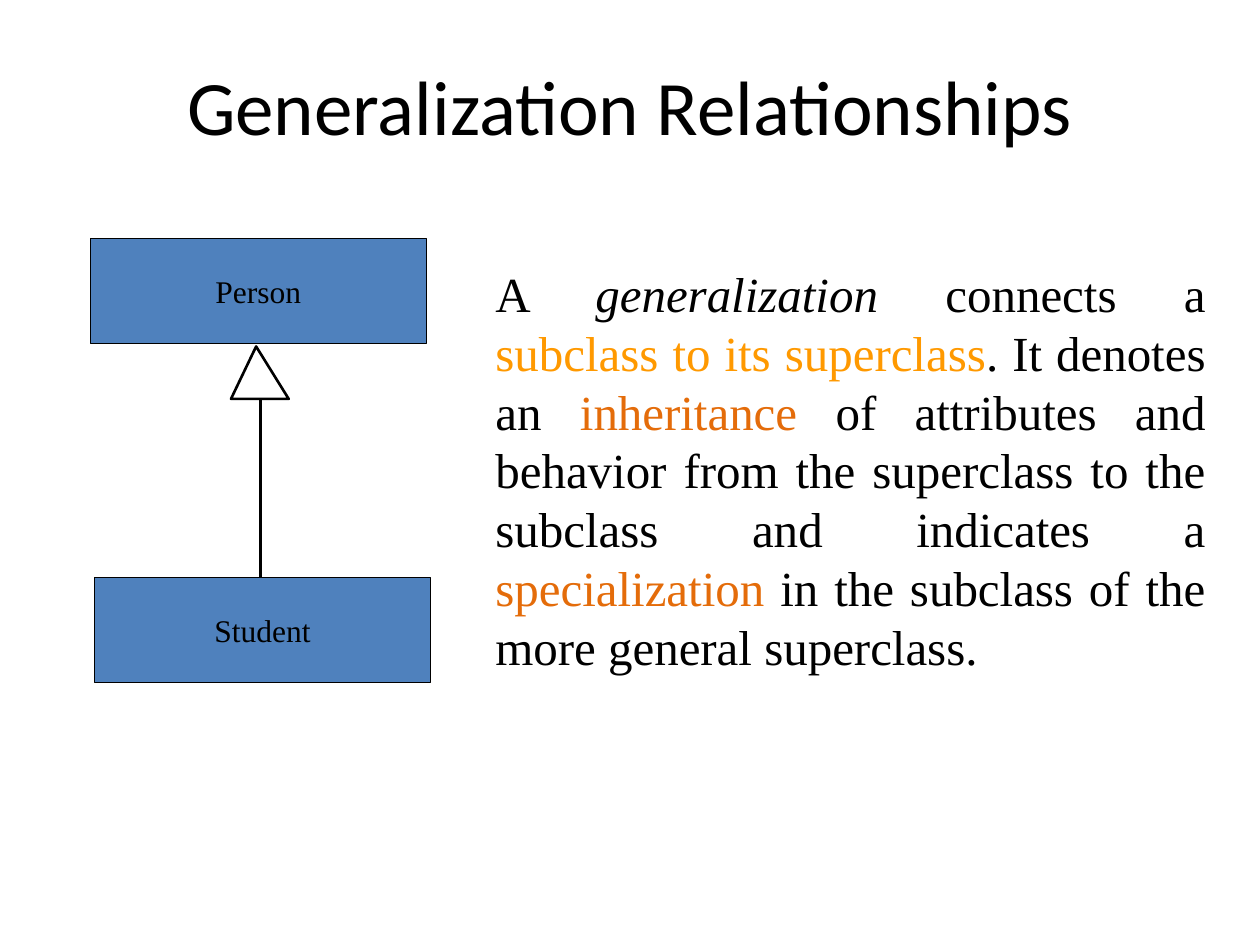
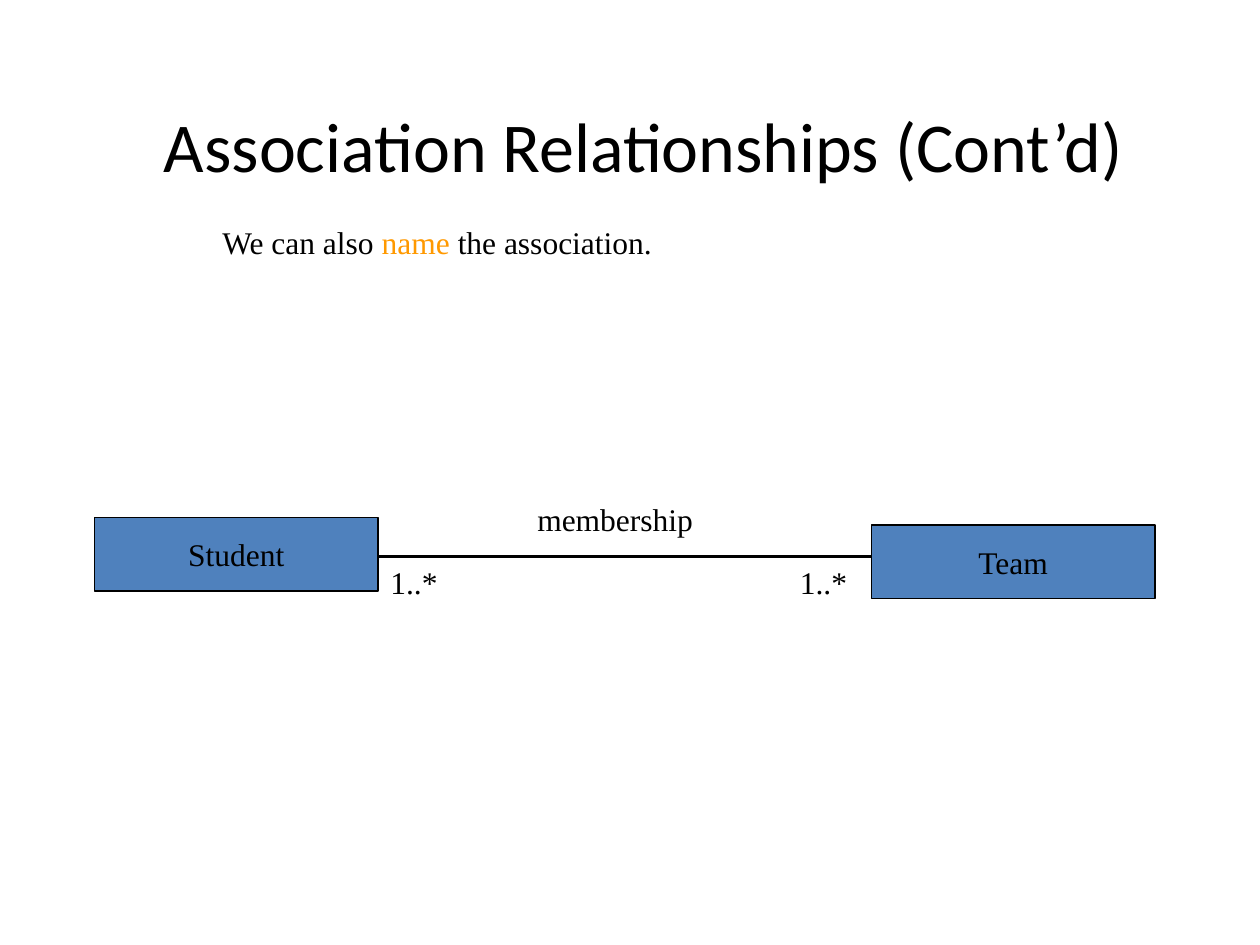
from lxml import etree
from pptx import Presentation
from pptx.dml.color import RGBColor
from pptx.enum.shapes import MSO_CONNECTOR, MSO_SHAPE
from pptx.enum.text import MSO_ANCHOR, PP_ALIGN
from pptx.oxml.ns import qn
from pptx.util import Inches, Pt

RECT, STRAIGHT = MSO_SHAPE.RECTANGLE, MSO_CONNECTOR.STRAIGHT
TOP, MIDDLE, BOTTOM = MSO_ANCHOR.TOP, MSO_ANCHOR.MIDDLE, MSO_ANCHOR.BOTTOM
LEFT, CENTER, JUSTIFY = PP_ALIGN.LEFT, PP_ALIGN.CENTER, PP_ALIGN.JUSTIFY
COLORS = {"ink": "000000", "paper": "FFFFFF", "class": "4F81BD",
          "amber": "FF9900", "rust": "E46C0A"}
HEAD_FONT, BODY_FONT = "Calibri", "Times New Roman"
COLS, ROWS = 120, 90
TITLE_ONLY = 5


class Deck:
    """Draws class diagrams on a grid of 120 columns by 90 rows."""

    def __init__(self):
        self.prs = Presentation()
        self.prs.slide_width, self.prs.slide_height = Inches(10), Inches(7.5)
        self.slide = None

    def color(self, name):
        return RGBColor.from_string(COLORS[name])

    def x(self, col):
        return round(self.prs.slide_width * col / COLS)

    def y(self, row):
        return round(self.prs.slide_height * row / ROWS)

    def box(self, col, row, cols, rows):
        return self.x(col), self.y(row), self.x(cols), self.y(rows)

    def add_runs(self, tf, runs, size, font=BODY_FONT, align=LEFT, anchor=TOP, wrap=True):
        tf.word_wrap, tf.vertical_anchor = wrap, anchor
        p = tf.paragraphs[0]
        p.alignment = align
        for text, color, italic in runs:
            r = p.add_run()
            r.text = text
            r.font.name, r.font.size = font, Pt(size)
            r.font.color.rgb = self.color(color)
            r.font.italic = italic

    def outline(self, s, width):
        s.line.color.rgb = self.color("ink")
        s.line.width = Pt(width)

    def fill(self, s, color):
        s.shadow.inherit = False
        s.fill.solid()
        s.fill.fore_color.rgb = self.color(color)

    def add_slide(self, title, size, *area):
        self.slide = self.prs.slides.add_slide(self.prs.slide_layouts[TITLE_ONLY])
        s = self.slide.shapes.title
        s.left, s.top, s.width, s.height = self.box(*area)
        self.add_runs(s.text_frame, [(title, "ink", False)], size, HEAD_FONT, CENTER, MIDDLE)

    def class_box(self, name, *area):
        s = self.slide.shapes.add_shape(RECT, *self.box(*area))
        self.fill(s, "class")
        self.outline(s, 0.75)
        self.add_runs(s.text_frame, [(name, "ink", False)], 18,
                      align=CENTER, anchor=MIDDLE, wrap=False)

    def text(self, runs, *area, size=18, **style):
        s = self.slide.shapes.add_textbox(*self.box(*area))
        self.add_runs(s.text_frame, runs, size, **style)

    def label(self, text, *area):
        self.text([(text, "ink", False)], *area)

    def line(self, start, end, width, shapes=None):
        shapes = shapes or self.slide.shapes
        s = shapes.add_connector(STRAIGHT, self.x(start[0]), self.y(start[1]),
                                 self.x(end[0]), self.y(end[1]))
        self.outline(s, width)
        etree.SubElement(s._element.spPr, qn("a:effectLst"))

    def generalization(self, start, end, triangle):
        shapes = self.slide.shapes.add_group_shape().shapes
        self.line(start, end, 1.5, shapes)
        first, *rest = [(self.x(col), self.y(row)) for col, row in triangle]
        outline = shapes.build_freeform(*first)
        outline.add_line_segments(rest, close=True)
        s = outline.convert_to_shape()
        self.fill(s, "paper")
        self.outline(s, 1.5)


def generalization_slide(deck):
    deck.add_slide("Generalization Relationships", 44, 8.8, 4, 102.4, 12)
    deck.class_box("Person", 8.6, 22.7, 32, 10)
    deck.text([
        ("A ", "ink", False),
        ("generalization", "ink", True),
        (" connects a ", "ink", False),
        ("subclass to its superclass", "amber", False),
        (". It denotes an ", "ink", False),
        ("inheritance", "rust", False),
        (" of attributes and behavior from the superclass to the subclass"
         " and indicates a ", "ink", False),
        ("specialization", "rust", False),
        (" in the subclass of the more general superclass.", "ink", False),
    ], 46, 24.5, 70, 40.4, size=28, align=JUSTIFY)
    deck.class_box("Student", 9, 55, 32, 10)
    deck.generalization((24.8, 38), (24.8, 55), [(24.4, 33), (22, 38), (27.5, 38)])


def association_slide(deck):
    deck.add_slide("Association Relationships (Cont’d)", 40, 11, 11, 100.6, 5.6)
    deck.text([
        ("We can also ", "ink", False),
        ("name ", "amber", False),
        ("the association.", "ink", False),
    ], 20, 17, 76, 8.4, align=JUSTIFY, anchor=BOTTOM)
    deck.line((36, 53), (84, 53), 2.25)
    deck.class_box("Team", 83, 50, 27, 7)
    deck.class_box("Student", 9, 49.3, 27, 7)
    deck.label("membership", 50, 47, 23, 4.8)
    for col, cols in ((36, 10), (75, 9)):
        deck.label("1..*", col, 53, cols, 4.8)


def main():
    deck = Deck()
    generalization_slide(deck)
    association_slide(deck)
    deck.prs.save("out.pptx")


if __name__ == "__main__":
    main()
